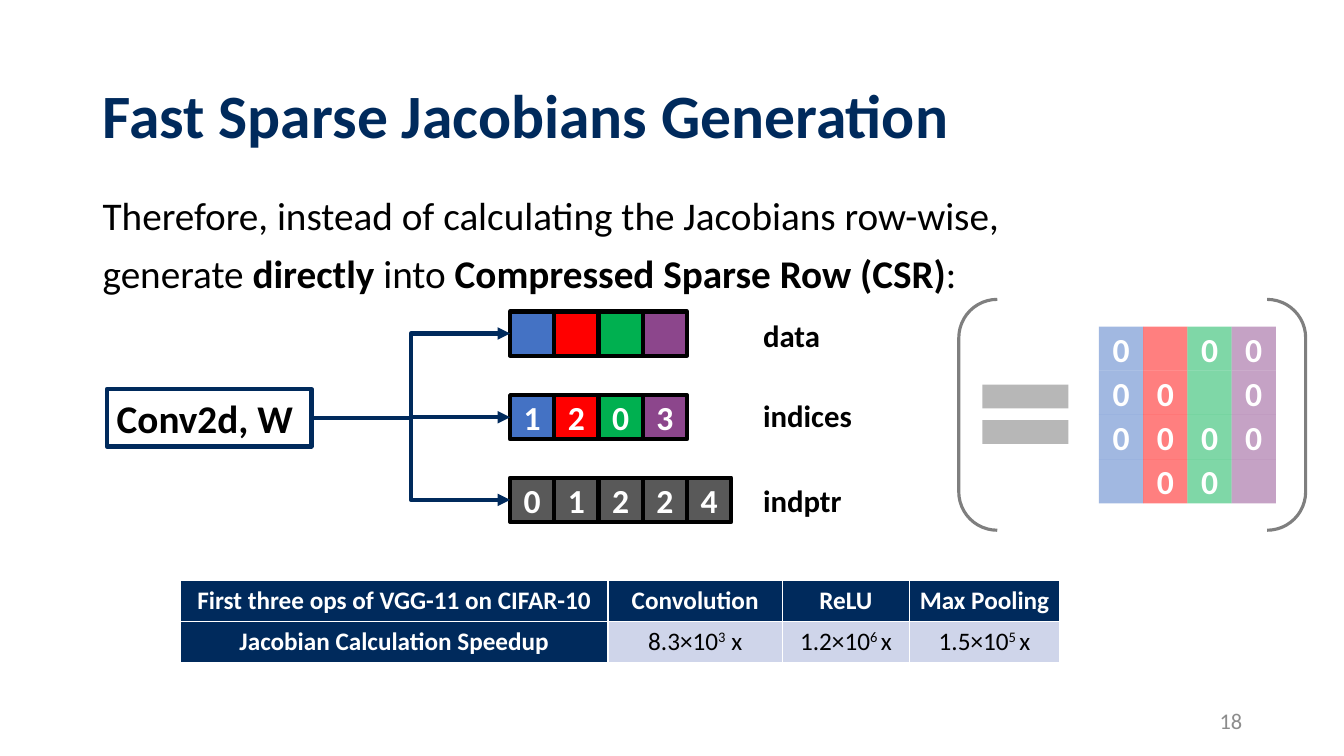
from lxml import etree
from pptx import Presentation
from pptx import util as u
from pptx.dml.color import RGBColor
from pptx.enum import shapes, text
from pptx.oxml.ns import qn

NAVY, BLACK, WHITE, GRAY = "002A5C", "000000", "FFFFFF", "595959"
COLUMN_COLORS = ["4472C4", "FF0000", "00B050", "8C468C"]
CELL = 0.4385

TEXTS = [
    ((0.92, 0.4, 11.5, 1.45), [("Fast Sparse Jacobians Generation", True)], 44, NAVY, "left", "middle"),
    ((0.92, 1.85, 9.83, 0.57), [("Therefore, instead of calculating the Jacobians row-wise,", False)],
     28, BLACK, "left", "top"),
    ((0.92, 2.42, 9.83, 0.57),
     [("generate ", False), ("directly", True), (" into ", False),
      ("Compressed Sparse Row (CSR)", True), (":", False)], 28, BLACK, "left", "top"),
    ((7.47, 3.09, 1.54, 0.47), [("data", True)], 22, BLACK, "left", "top"),
    ((7.47, 3.89, 1.54, 0.47), [("indices", True)], 22, BLACK, "left", "top"),
    ((7.47, 4.73, 1.54, 0.47), [("indptr", True)], 22, BLACK, "left", "top"),
    ((9.42, 6.95, 3, 0.4), [("18", False)], 16, "8C8C8C", "right", "middle"),
]
ARRAY_LEFT = 5.06
ARRAYS = [
    (3.09, ["", "", "", ""], COLUMN_COLORS),
    (3.92, ["1", "2", "0", "3"], COLUMN_COLORS),
    (4.74, ["0", "1", "2", "2", "4"], [GRAY] * 5),
]
MATRIX_ORIGIN = (10.9, 3.24)
MATRIX = [
    ["0", "", "0", "0"],
    ["0", "0", "", "0"],
    ["0", "0", "0", "0"],
    ["", "0", "0", ""],
]
OPERATOR_BOX = (1.06, 3.86, 2.03, 0.57)
TABLE_BOX = (1.79, 5.76, 8.71, 0.81)
TABLE_WIDTHS = [4.24, 1.73, 1.26, 1.49]
TABLE = [
    [["First three ops of VGG-11 on CIFAR-10"], ["Convolution"], ["ReLU"], ["Max Pooling"]],
    [["Jacobian Calculation Speedup"], ["8.3×10", "3", " x"], ["1.2×10", "6 ", "x"], ["1.5×10", "5 ", "x"]],
]
ALIGNMENTS = {"left": text.PP_ALIGN.LEFT, "center": text.PP_ALIGN.CENTER, "right": text.PP_ALIGN.RIGHT}
ANCHORS = {"top": text.MSO_ANCHOR.TOP, "middle": text.MSO_ANCHOR.MIDDLE}


def color(value):
    return RGBColor.from_string(value)


def inches(box):
    return [u.Inches(value) for value in box]


def set_font(paragraph, size, font_color, bold=None):
    font = paragraph.font
    font.name, font.size, font.bold = "Calibri", u.Pt(size), bold
    font.color.rgb = color(font_color)


def set_alpha(paint, percent):
    choice = paint._xPr.find(qn("a:solidFill"))[0]
    etree.SubElement(choice, qn("a:alpha")).set("val", str(percent * 1000))


def write(shape, runs, size, font_color, align, anchor):
    frame = shape.text_frame
    frame.word_wrap = True
    frame.vertical_anchor = ANCHORS[anchor]
    paragraph = frame.paragraphs[0]
    paragraph.alignment = ALIGNMENTS[align]
    set_font(paragraph, size, font_color)
    for content, bold in runs:
        run = paragraph.add_run()
        run.text = content
        run.font.bold = bold


def add_shape(kind, box, fill=None, fill_alpha=100, line=None, width=3, line_alpha=100):
    shape = slide.shapes.add_shape(kind, *inches(box))
    shape.shadow.inherit = False
    if fill:
        shape.fill.solid()
        shape.fill.fore_color.rgb = color(fill)
        if fill_alpha < 100:
            set_alpha(shape.fill, fill_alpha)
    else:
        shape.fill.background()
    if line:
        shape.line.color.rgb = color(line)
        shape.line.width = u.Pt(width)
        if line_alpha < 100:
            set_alpha(shape.line.fill, line_alpha)
    else:
        shape.line.fill.background()
    return shape


def add_cells(left, top, values, fills, **style):
    for column, (value, fill) in enumerate(zip(values, fills)):
        box = (left + column * CELL, top, CELL, CELL)
        cell = add_shape(shapes.MSO_SHAPE.RECTANGLE, box, fill, **style)
        if value:
            write(cell, [(value, True)], 24, WHITE, "center", "middle")


def add_arrow(start, end):
    arrow = slide.shapes.add_connector(shapes.MSO_CONNECTOR.ELBOW, *inches(start + end))
    arrow.line.color.rgb = color(NAVY)
    arrow.line.width = u.Pt(3)
    etree.SubElement(arrow.line._get_or_add_ln(), qn("a:tailEnd")).set("type", "triangle")
    etree.SubElement(arrow._element.spPr, qn("a:effectLst"))


def add_speedup_table():
    table = slide.shapes.add_table(len(TABLE), len(TABLE_WIDTHS), *inches(TABLE_BOX)).table
    for column, width in zip(table.columns, TABLE_WIDTHS):
        column.width = u.Inches(width)
    for row, contents in enumerate(TABLE):
        for column, parts in enumerate(contents):
            heading = row == 0 or column == 0
            cell = table.cell(row, column)
            cell.fill.solid()
            cell.fill.fore_color.rgb = color(NAVY if heading else "CFD5EA")
            paragraph = cell.text_frame.paragraphs[0]
            paragraph.alignment = text.PP_ALIGN.CENTER
            set_font(paragraph, 18, WHITE if heading else BLACK, heading)
            for index, part in enumerate(parts):
                run = paragraph.add_run()
                run.text = part
                if index == 1:
                    run._r.get_or_add_rPr().set("baseline", "30000")


presentation = Presentation()
presentation.slide_width, presentation.slide_height = inches((13.33, 7.5))
slide = presentation.slides.add_slide(presentation.slide_layouts[6])

add_shape(shapes.MSO_SHAPE.DOUBLE_BRACKET, (9.51, 2.97, 3.44, 2.29), line=BLACK, width=2.25, line_alpha=50)
for box, *content in TEXTS:
    write(slide.shapes.add_textbox(*inches(box)), *content)

operator = add_shape(shapes.MSO_SHAPE.RECTANGLE, OPERATOR_BOX, line=NAVY)
write(operator, [("Conv2d, W", True)], 28, BLACK, "left", "top")
left, top, width, height = OPERATOR_BOX
for array_top, values, fills in ARRAYS:
    add_cells(ARRAY_LEFT, array_top, values, fills, line=BLACK)
    add_arrow((left + width, top + height / 2), (ARRAY_LEFT, array_top + CELL / 2))

add_speedup_table()

matrix_left, matrix_top = MATRIX_ORIGIN
for row, values in enumerate(MATRIX):
    add_cells(matrix_left, matrix_top + row * CELL, values, COLUMN_COLORS, fill_alpha=50)
add_shape(shapes.MSO_SHAPE.MATH_EQUAL, (9.59, 3.61, 1.16, 1), "A5A5A5", fill_alpha=80)

presentation.save("out.pptx")
